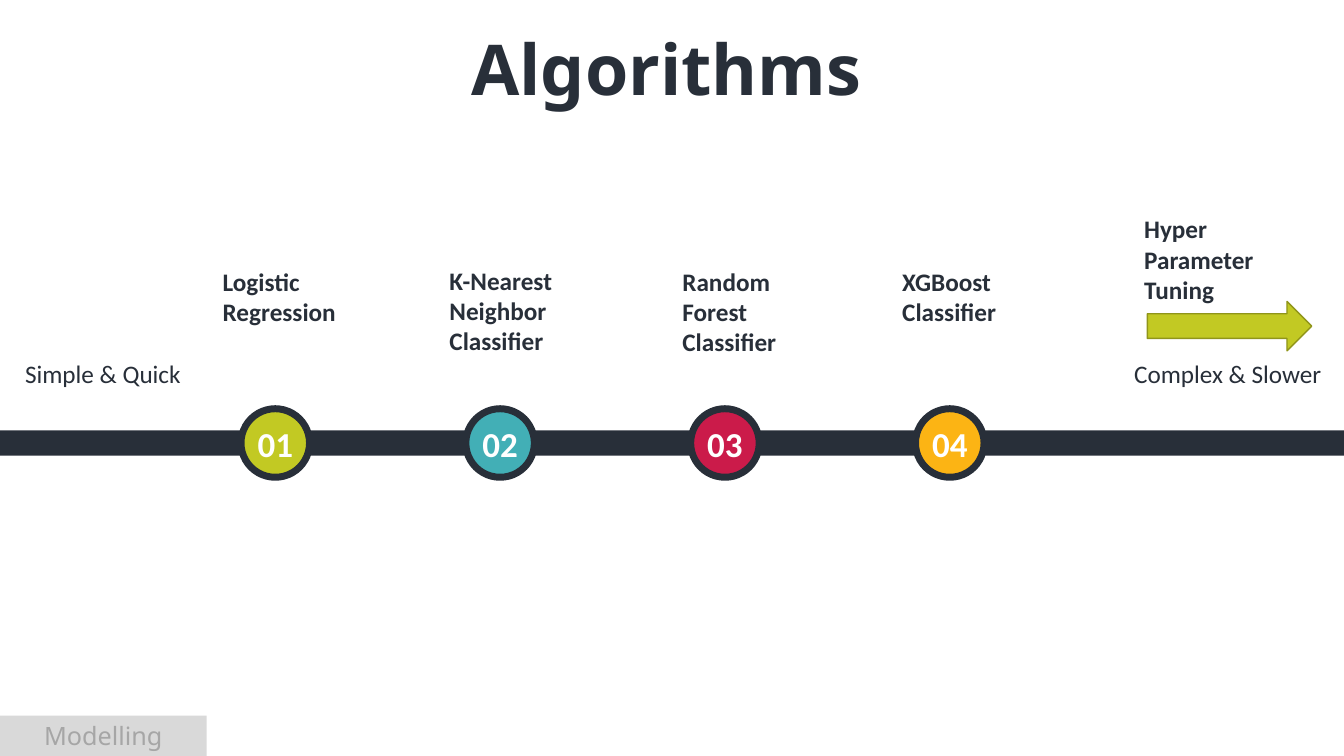
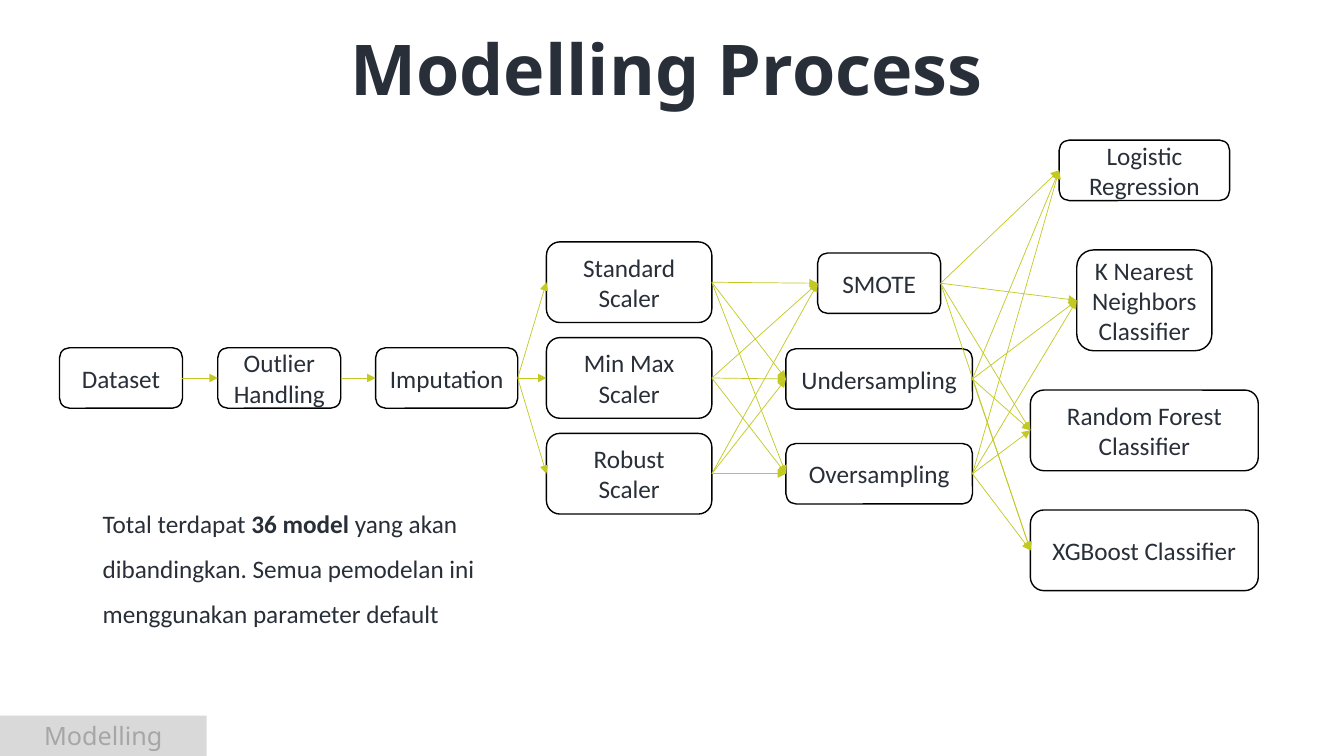
from pptx import Presentation, util as u
from pptx.dml.color import RGBColor
from pptx.enum import shapes, text
from lxml import etree
from pptx.oxml.ns import qn

PX = 9144
W, H = 1333, 750
COLORS = dict(dark="282F39", green="C2C923", olive="90951A", teal="42AFB6", red="CB1B4A",
              amber="FCB414", white="FFFFFF", black="000000", band="D9D9D9", footer="A6A6A6")
BODY, HEADING = "Calibri", "Noto Sans"
SHAPE = shapes.MSO_SHAPE
CENTER, LEFT = text.PP_ALIGN.CENTER, text.PP_ALIGN.LEFT
TOP, MIDDLE = text.MSO_ANCHOR.TOP, text.MSO_ANCHOR.MIDDLE

FOOTER = "Modelling"

STEPS = [
    ("01", "green", "Logistic Regression", (211, 259, 135, 71)),
    ("02", "teal", "K-Nearest Neighbor Classifier", (436, 258, 126, 101)),
    ("03", "red", "Random Forest Classifier", (667, 259, 117, 101)),
    ("04", "amber", "XGBoost\nClassifier", (885, 259, 115, 71)),
]
STEP_LEFT, STEP_PITCH, STEP_SIZE = 239, 223, 68
BAR_TOP, BAR_HEIGHT = 427, 25
SCALE_ENDS = [("Simple & Quick", (15, 351, 211, 40)), ("Complex & Slower", (1115, 351, 208, 40))]
TUNING = ("Hyper Parameter Tuning", (1125, 207, 143, 101))
TUNING_ARROW = (1138, 299, 163, 49)

# stage: centre x, then boxes as label, centre y, width, height
STAGES = [
    (120, [("Dataset", 375, 122, 60)]),
    (277, [("Outlier Handling", 375, 122, 60)]),
    (443, [("Imputation", 375, 141, 60)]),
    (624, [("Standard Scaler", 280, 164, 80),
           ("Min Max Scaler", 375, 164, 80),
           ("Robust Scaler", 470, 164, 80)]),
    (872, [("SMOTE", 281, 122, 60),
           ("Undersampling", 376, 185, 60),
           ("Oversampling", 470, 185, 60)]),
    (1135, [("Logistic Regression", 169, 169, 60),
            ("K Nearest Neighbors Classifier", 298, 134, 100),
            ("Random Forest Classifier", 427, 226, 80),
            ("XGBoost Classifier", 546, 226, 80)]),
]
LEFT_SITE, RIGHT_SITE = 1, 3
SUMMARY = [("Total terdapat ", False), ("36 model ", True),
           ("yang akan dibandingkan. Semua pemodelan ini menggunakan parameter default", False)]
SUMMARY_BOX = (92, 484, 421, 146)


def rgb(name):
    return RGBColor.from_string(COLORS[name])


def emu(box):
    return [u.Emu(round(v * PX)) for v in box]


def style_font(font, size, color, bold=False, name=BODY):
    font.size, font.bold, font.name = u.Pt(size), bold, name
    font.color.rgb = rgb(color)


def write(sp, words, size=18, color="dark", bold=False, name=BODY, align=LEFT, anchor=TOP):
    tf = sp.text_frame
    tf.text = words
    tf.word_wrap = True
    tf.vertical_anchor = anchor
    for p in tf.paragraphs:
        p.alignment = align
        for r in p.runs:
            style_font(r.font, size, color, bold, name)
    return tf


def no_margins(tf):
    tf.margin_left = tf.margin_right = tf.margin_top = tf.margin_bottom = 0


def add_label(s, words, box, bold=False):
    write(s.shapes.add_textbox(*emu(box)), words, bold=bold)


def add_box(s, kind, box, fill=None, line=None, width=1):
    sp = s.shapes.add_shape(kind, *emu(box))
    sp.shadow.inherit = False
    if fill:
        sp.fill.solid()
        sp.fill.fore_color.rgb = rgb(fill)
    else:
        sp.fill.background()
    if line:
        sp.line.color.rgb = rgb(line)
        sp.line.width = u.Pt(width)
    else:
        sp.line.fill.background()
    return sp


def add_arrow(s, start, end):
    c = s.shapes.add_connector(shapes.MSO_CONNECTOR.STRAIGHT, 0, 0, 0, 0)
    c.begin_connect(start, RIGHT_SITE)
    c.end_connect(end, LEFT_SITE)
    c.line.color.rgb = rgb("green")
    c.line.width = u.Pt(0.5)
    etree.SubElement(c.line._get_or_add_ln(), qn("a:tailEnd"), type="triangle")
    etree.SubElement(c._element.spPr, qn("a:effectLst"))


def add_slide(prs, title):
    s = prs.slides.add_slide(prs.slide_layouts[5])
    sp = s.shapes.title
    sp.left, sp.top, sp.width, sp.height = emu((100, 25, 1122, 94))
    tf = write(sp, title, 50, bold=True, name=HEADING, align=CENTER)
    tf.auto_size = text.MSO_AUTO_SIZE.NONE
    no_margins(tf)
    band = add_box(s, SHAPE.RECTANGLE, (0, 710, 205, 40), "band")
    write(band, FOOTER, color="footer", name=HEADING, align=CENTER, anchor=MIDDLE)
    return s


def build_algorithms(prs):
    s = add_slide(prs, "Algorithms")
    add_box(s, SHAPE.RECTANGLE, (0, BAR_TOP, W, BAR_HEIGHT), "dark")
    step_top = BAR_TOP + (BAR_HEIGHT - STEP_SIZE) / 2
    for i, (number, color, label, label_box) in enumerate(STEPS):
        box = (STEP_LEFT + i * STEP_PITCH, step_top, STEP_SIZE, STEP_SIZE)
        sp = add_box(s, SHAPE.OVAL, box, color, "dark", 5)
        no_margins(write(sp, number, 25, "white", True, align=CENTER, anchor=MIDDLE))
        add_label(s, label, label_box, True)
    for label, box in SCALE_ENDS:
        add_label(s, label, box)
    add_box(s, SHAPE.RIGHT_ARROW, TUNING_ARROW, "green", "olive")
    add_label(s, *TUNING, bold=True)


def build_process(prs):
    s = add_slide(prs, "Modelling Process")
    stages = []
    for cx, boxes in STAGES:
        stage = []
        for label, cy, w, h in boxes:
            sp = add_box(s, SHAPE.ROUNDED_RECTANGLE, (cx - w / 2, cy - h / 2, w, h), line="black")
            write(sp, label, align=CENTER, anchor=MIDDLE)
            stage.append(sp)
        stages.append(stage)
    for sources, targets in zip(stages, stages[1:]):
        for start in sources:
            for end in targets:
                add_arrow(s, start, end)
    tf = s.shapes.add_textbox(*emu(SUMMARY_BOX)).text_frame
    tf.word_wrap = True
    p = tf.paragraphs[0]
    p.line_spacing = 1.5
    for words, bold in SUMMARY:
        r = p.add_run()
        r.text = words
        style_font(r.font, 18, "dark", bold)


def main():
    prs = Presentation()
    prs.slide_width, prs.slide_height = emu((W, H))
    build_algorithms(prs)
    build_process(prs)
    prs.save("out.pptx")


if __name__ == "__main__":
    main()
